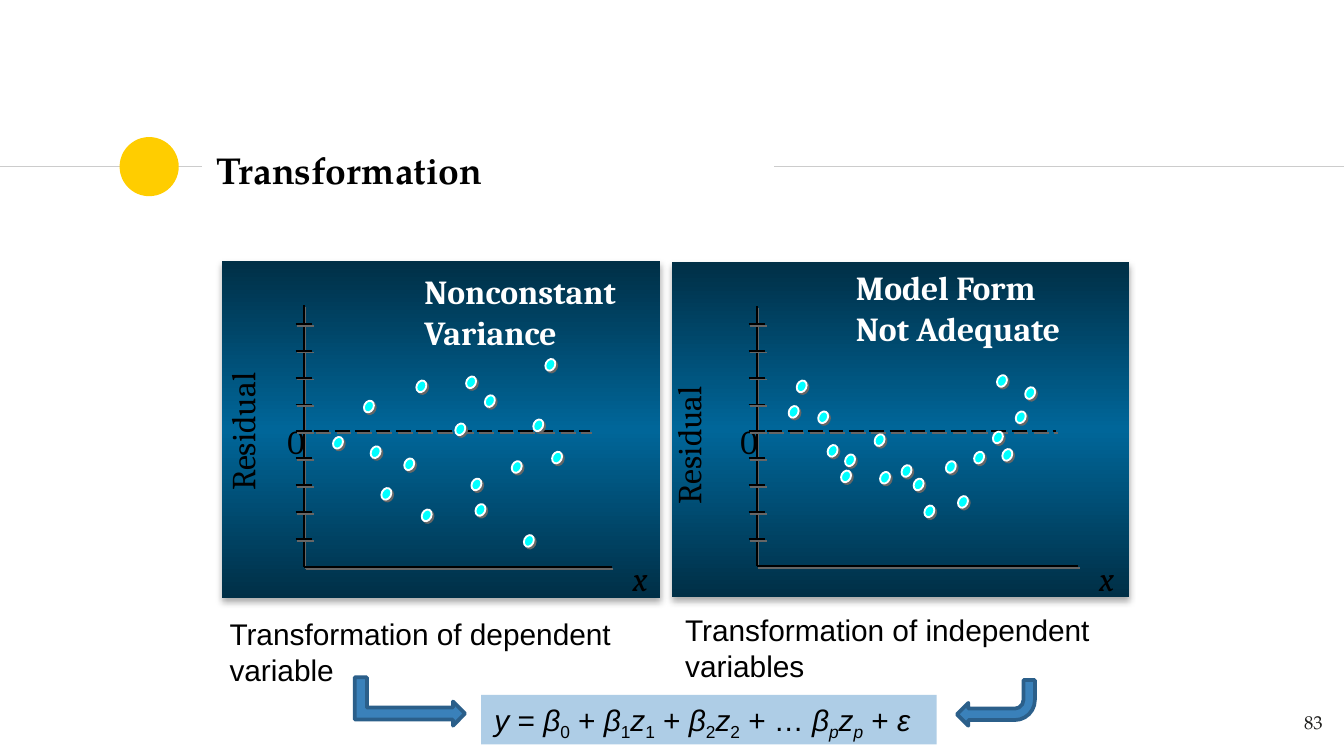
"""Build the slide on transforming variables to mend residual plots."""
from lxml.etree import SubElement
from pptx import Presentation
from pptx.dml.color import RGBColor
from pptx.enum.dml import MSO_LINE
from pptx.enum.shapes import MSO_CONNECTOR, MSO_SHAPE
from pptx.enum.text import MSO_ANCHOR, MSO_AUTO_SIZE, PP_ALIGN
from pptx.oxml import parse_xml
from pptx.oxml.ns import nsdecls, qn
from pptx.util import Inches, Pt

BLACK = RGBColor(0x00, 0x00, 0x00)
WHITE = RGBColor(0xFF, 0xFF, 0xFF)
INK = RGBColor(0x1D, 0x1D, 0x1B)
RULE = RGBColor(0xCC, 0xCC, 0xCC)
YELLOW = RGBColor(0xFF, 0xCD, 0x00)
CYAN = RGBColor(0x00, 0xFF, 0xFF)
NAVY = RGBColor(0x00, 0x66, 0x99)
GREY = RGBColor(0x66, 0x66, 0x66)
PALE = RGBColor(0xAE, 0xCD, 0xE6)
BLUE = RGBColor(0x3A, 0x81, 0xBA)
EDGE = RGBColor(0x2B, 0x5F, 0x8A)

SERIF, SANS, BOOK = "Cambria", "Arial", "TeX Gyre Pagella"
ZERO, STEP, TICKS = 3.21, 0.2, 9

LEFT = dict(
    box=(1.65, 1.94, 3.26, 2.51), axis=2.26, top=2.27, base=4.22, end=4.55,
    dash=4.39, sign=(4.61, 4.1), label=(1.21, 2.96),
    head=(3.06, 1.97, 1.67, 0.71), words=["Nonconstant", "Variance"],
    dots=[(3.1, 2.83), (3.81, 3.43), (3.14, 3.79), (2.71, 2.98), (2.48, 3.25),
          (2.76, 3.32), (4.06, 2.67), (3.01, 3.41), (3.51, 3.56), (3.61, 2.94),
          (4.11, 3.36), (3.47, 2.8), (3.54, 3.75), (2.84, 3.63), (3.9, 3.98),
          (3.39, 3.15), (3.97, 3.12)])
RIGHT = dict(
    box=(5, 1.95, 3.4, 2.49), axis=5.63, top=2.28, base=4.21, end=8.02,
    dash=7.86, sign=(8.08, 4.1), label=(4.53, 3.06),
    head=(6.27, 1.94, 1.82, 0.71), words=["Model Form ", "Not Adequate"],
    dots=[(6.51, 3.23), (7.25, 3.36), (6.55, 3.51), (5.93, 2.83), (5.87, 3.02),
          (6.71, 3.46), (6.16, 3.31), (7.63, 2.88), (6.29, 3.38), (6.88, 3.76),
          (7.04, 3.43), (7.42, 2.79), (7.56, 3.06), (6.09, 3.06), (6.26, 3.5),
          (7.13, 3.69), (6.8, 3.56), (7.46, 3.34), (7.39, 3.21)])

MODEL = [("y", "i"), (" = ", ""), ("β", "i"), ("0", "s"), (" + ", ""),
         ("β", "i"), ("1", "s"), ("z", "i"), ("1", "s"), (" + ", ""),
         ("β", "i"), ("2", "s"), ("z", "i"), ("2", "s"), (" + … ", ""),
         ("β", "i"), ("p", "is"), ("z", "i"), ("p", "is"), (" + ", ""),
         ("ε", "i")]


def add_shadow(shape, color=GREY, alpha=100, blur=0, dist=1.4, angle=45):
    shape._element.spPr.append(parse_xml(
        f'<a:effectLst {nsdecls("a")}><a:outerShdw blurRad="{Pt(blur)}" '
        f'dist="{Pt(dist)}" dir="{angle * 60000}" algn="ctr" rotWithShape="0">'
        f'<a:srgbClr val="{color}"><a:alpha val="{alpha * 1000}"/></a:srgbClr>'
        '</a:outerShdw></a:effectLst>'))


def add_line(shapes, x1, y1, x2, y2, color=BLACK, width=1, shadow=True):
    line = shapes.add_connector(MSO_CONNECTOR.STRAIGHT, *map(Inches, (x1, y1, x2, y2)))
    line.line.color.rgb = color
    line.line.width = Pt(width)
    if shadow:
        add_shadow(line)
    else:
        SubElement(line._element.spPr, qn("a:effectLst"))
    return line


def add_form(shapes, kind, box, fill, edge=None, width=1, turn=0):
    form = shapes.add_shape(kind, *map(Inches, box))
    form.rotation = turn
    form.fill.solid()
    form.fill.fore_color.rgb = fill
    if edge is None:
        form.line.fill.background()
    else:
        form.line.color.rgb = edge
        form.line.width = Pt(width)
    form.shadow.inherit = False
    return form


def add_dot(shapes, x, y):
    dot = add_form(shapes, MSO_SHAPE.OVAL, (x, y, 0.07, 0.09), CYAN, WHITE, 1, 26.3)
    dot._element.spPr.remove(dot._element.spPr.find(qn("a:effectLst")))
    add_shadow(dot)


def add_panel(shapes, box):
    panel = add_form(shapes, MSO_SHAPE.RECTANGLE, box, NAVY)
    props = panel._element.spPr
    dark = (f'<a:srgbClr val="{NAVY}"><a:gamma/><a:shade val="46275"/>'
            '<a:invGamma/></a:srgbClr>')
    fade = parse_xml(
        f'<a:gradFill {nsdecls("a")} rotWithShape="1"><a:gsLst>'
        f'<a:gs pos="0">{dark}</a:gs>'
        f'<a:gs pos="50000"><a:srgbClr val="{NAVY}"/></a:gs>'
        f'<a:gs pos="100000">{dark}</a:gs>'
        '</a:gsLst><a:lin ang="5400000" scaled="1"/></a:gradFill>')
    props.replace(props.find(qn("a:solidFill")), fade)
    props.remove(props.find(qn("a:effectLst")))
    add_shadow(panel, BLACK, 32, 3.5, 2.2, 90)


def add_run(para, text, size, face, color=BLACK, bold=False, style=""):
    run = para.add_run()
    run.text = text
    font = run.font
    font.size, font.name, font.bold = Pt(size), face, bold
    font.italic = "i" in style
    font.color.rgb = color
    if "s" in style:
        run._r.get_or_add_rPr().set("baseline", "-25000")


def add_text(shapes, box, lines, size, face, color=BLACK, bold=False, style="",
             wrap=False, grow=True, inset=None, turn=0):
    text = shapes.add_textbox(*map(Inches, box))
    text.rotation = turn
    frame = text.text_frame
    frame.word_wrap = wrap
    frame.auto_size = MSO_AUTO_SIZE.SHAPE_TO_FIT_TEXT if grow else MSO_AUTO_SIZE.NONE
    if inset is not None:
        frame.margin_top = frame.margin_bottom = Inches(inset)
    para = frame.paragraphs[0]
    for i, line in enumerate(lines):
        if i:
            para.add_line_break()
        add_run(para, line, size, face, color, bold, style)
    return frame


def add_plot(slide, plot):
    shapes = slide.shapes.add_group_shape().shapes
    axis, base = plot["axis"], plot["base"]
    add_panel(shapes, plot["box"])
    add_line(shapes, axis, plot["top"], axis, base)
    add_line(shapes, plot["end"], base, axis, base)
    add_text(shapes, (*plot["sign"], 0.33, 0.4), ["x"], 18, SERIF, style="i")
    add_text(shapes, (axis - 0.22, 3.08, 0.33, 0.4), ["0"], 18, SERIF)
    for i in range(TICKS):
        y = ZERO + (i - TICKS // 2) * STEP
        add_line(shapes, axis - 0.06, y, axis + 0.06, y)
    add_text(shapes, (*plot["label"], 1.18, 0.4), ["Residual"], 18, SERIF, turn=270)
    dash = add_line(shapes, axis + 0.08, ZERO, plot["dash"], ZERO)
    dash.line.dash_style = MSO_LINE.LONG_DASH
    add_text(shapes, plot["head"], plot["words"], 18, SERIF, WHITE, True)
    for x, y in plot["dots"]:
        add_dot(shapes, x, y)


def add_model(shapes):
    form = add_form(shapes, MSO_SHAPE.RECTANGLE, (3.58, 5.17, 3.39, 0.37), PALE)
    frame = form.text_frame
    frame.word_wrap = False
    frame.auto_size = MSO_AUTO_SIZE.SHAPE_TO_FIT_TEXT
    frame.vertical_anchor = MSO_ANCHOR.TOP
    para = frame.paragraphs[0]
    para.alignment = PP_ALIGN.LEFT
    for text, style in MODEL:
        add_run(para, text, 16, SANS, style=style)


def main():
    deck = Presentation()
    deck.slide_width = Inches(10)
    deck.slide_height = Inches(10 * 9 / 16)
    slide = deck.slides.add_slide(deck.slide_layouts[6])
    shapes = slide.shapes
    add_line(shapes, 0, 1.24, 1.5, 1.24, RULE, 0.75, False)
    add_form(shapes, MSO_SHAPE.OVAL, (0.89, 1.02, 0.44, 0.44), YELLOW)
    add_line(shapes, 5.76, 1.24, 10, 1.24, RULE, 0.75, False)
    title = add_text(shapes, (1.51, 1.02, 4.24, 0.48), ["Transformation"], 20, BOOK,
                     bold=True, wrap=True, grow=False, inset=0.1)
    title.vertical_anchor = MSO_ANCHOR.MIDDLE
    for plot in (LEFT, RIGHT):
        add_plot(slide, plot)
    for x, y, kind in ((5, 4.5, "independent variables"), (1.61, 4.53, "dependent variable")):
        add_text(shapes, (x, y, 3.34, 0.64), [f"Transformation of {kind}"], 16, SANS, wrap=True)
    add_model(shapes)
    add_form(shapes, MSO_SHAPE.BENT_UP_ARROW, (2.87, 4.81, 0.36, 0.82), BLUE, EDGE, 2, 90)
    add_form(shapes, MSO_SHAPE.BENT_ARROW, (7.12, 5.06, 0.58, 0.34), BLUE, EDGE, 2, 180)
    page = add_text(shapes, (9.34, 5.19, 0.6, 0.43), ["83"], 10, BOOK, INK,
                    wrap=True, grow=False, inset=0.1)
    page.paragraphs[0].alignment = PP_ALIGN.RIGHT
    deck.save("out.pptx")


if __name__ == "__main__":
    main()
